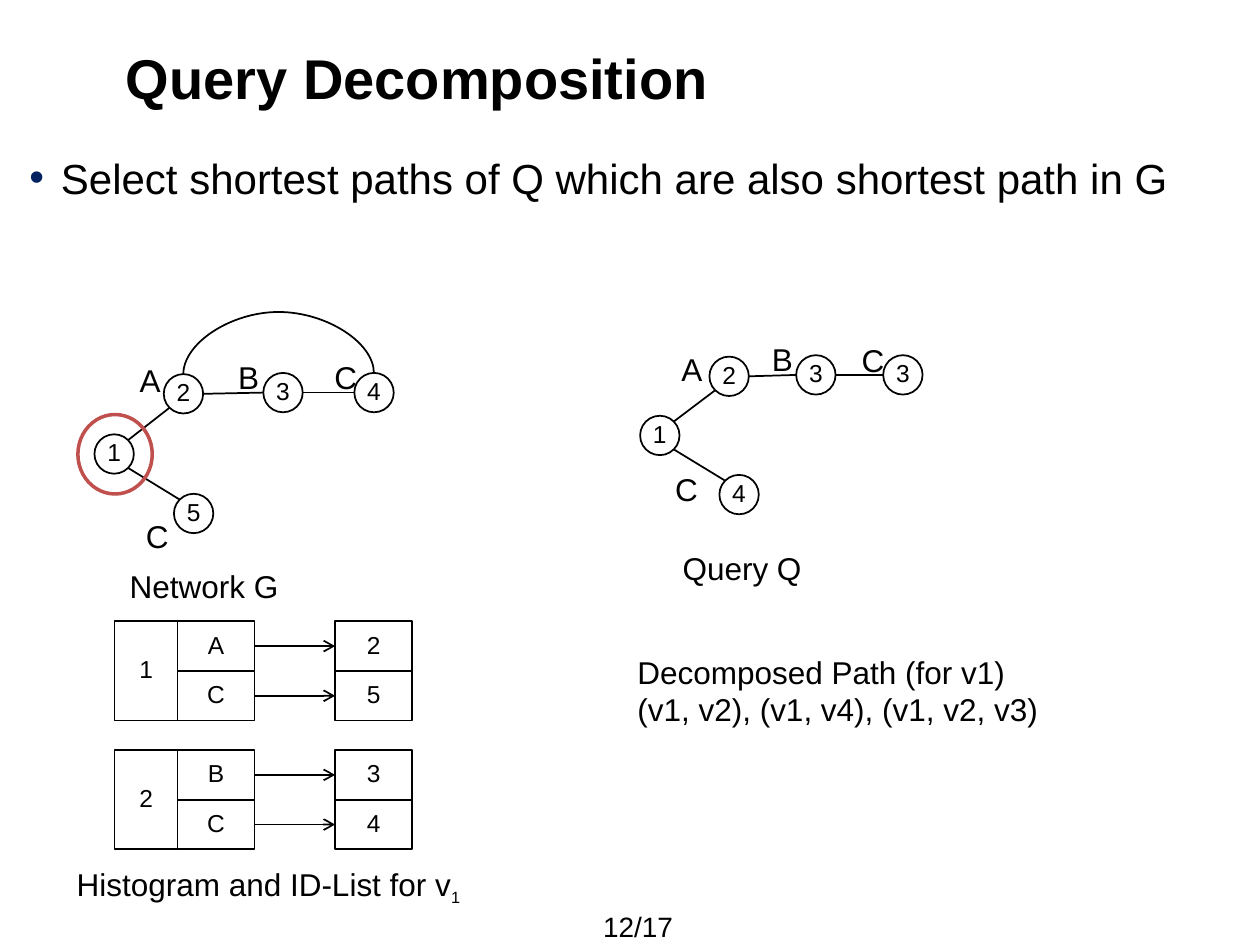
import dataclasses
import math
import typing

import lxml.etree
import pptx
import pptx.dml.color
import pptx.enum.shapes
import pptx.enum.text
import pptx.oxml
import pptx.oxml.ns
import pptx.util

Pt = pptx.util.Pt
SHAPE = pptx.enum.shapes.MSO_SHAPE
LINE = pptx.enum.shapes.MSO_CONNECTOR
ALIGN = pptx.enum.text.PP_ALIGN
ANCHOR = pptx.enum.text.MSO_ANCHOR
AUTO = pptx.enum.text.MSO_AUTO_SIZE
qn = pptx.oxml.ns.qn


@dataclasses.dataclass(frozen=True)
class Theme:
    font: str = "Arial"
    ink: str = "000000"
    bullet: str = "002060"
    ring: str = "C0504D"
    title: float = 32
    body: float = 24
    label: float = 18
    small: float = 16
    node: float = 14
    thin: float = 1
    thick: float = 2


class Node(typing.NamedTuple):
    text: str
    x: float
    y: float


class Edge(typing.NamedTuple):
    start: int
    end: int
    angle: float


class Label(typing.NamedTuple):
    text: str
    x: float
    y: float
    w: float


class Bucket(typing.NamedTuple):
    key: str
    y: float
    rows: tuple[tuple[str, str], ...]


THEME = Theme()
NODE_D = 22.5
ROW_H = 28.4
KEY_X, KEY_W = 65.5, 36
LABEL_X, ID_X, CELL_W = 101.5, 191.5, 44

NETWORK_NODES = (Node("1", 54, 248.2), Node("2", 93.6, 213.8), Node("3", 150.5, 213.1),
                 Node("4", 202.5, 213.1), Node("5", 99.4, 282.2))
QUERY_NODES = (Node("1", 365.8, 237.6), Node("2", 405.4, 203.8), Node("3", 455, 203),
               Node("3", 504.7, 203), Node("4", 411.1, 271.4))
EDGES = (Edge(0, 1, -45), Edge(1, 2, 0), Edge(2, 3, 0), Edge(0, 4, 45))
LABELS = (
    Label("A", 72.7, 202.5, 26.6), Label("B", 129, 201, 26.6),
    Label("C", 184, 201, 27.4), Label("C", 76.3, 291.6, 27.4),
    Label("A", 382.3, 196.6, 26.6), Label("B", 434, 191, 26.6),
    Label("C", 485.3, 191.5, 27.4), Label("C", 378.7, 265, 27.4),
    Label("Network G", 67, 320.4, 100), Label("Query Q", 383, 310.3, 83.5),
)
BUCKETS = (Bucket("1", 355, (("A", "2"), ("C", "5"))),
           Bucket("2", 428.6, (("B", "3"), ("C", "4"))))


def apply(obj: typing.Any, values: dict[str, typing.Any]) -> None:
    for name, value in values.items():
        setattr(obj, name, value)


def rgb(color: str) -> pptx.dml.color.RGBColor:
    return pptx.dml.color.RGBColor.from_string(color)


def add_run(p: typing.Any, text: str, size: float, bold: bool = False) -> typing.Any:
    r = p.add_run()
    r.text = text
    apply(r.font, {"name": THEME.font, "size": Pt(size), "bold": bold})
    r.font.color.rgb = rgb(THEME.ink)
    return r


def add_text(s: typing.Any, lines: tuple[str, ...], x: float, y: float, w: float, h: float,
             size: float, bold: bool = False, **frame: typing.Any) -> typing.Any:
    tf = s.shapes.add_textbox(Pt(x), Pt(y), Pt(w), Pt(h)).text_frame
    apply(tf, {"word_wrap": True} | frame)
    for i, line in enumerate(lines):
        p = tf.add_paragraph() if i else tf.paragraphs[0]
        add_run(p, line, size, bold)
    return tf


def add_outline(s: typing.Any, kind: typing.Any, x: float, y: float, w: float, h: float,
                text: str = "", color: str = THEME.ink, width: float = THEME.thin) -> typing.Any:
    sp = s.shapes.add_shape(kind, Pt(x), Pt(y), Pt(w), Pt(h))
    sp.shadow.inherit = False
    sp.fill.background()
    sp.line.color.rgb = rgb(color)
    sp.line.width = Pt(width)
    if text:
        tf = sp.text_frame
        apply(tf, {"word_wrap": False, "vertical_anchor": ANCHOR.MIDDLE})
        p = tf.paragraphs[0]
        apply(p, {"alignment": ALIGN.CENTER, "line_spacing": 0.9})
        add_run(p, text, THEME.node)
    return sp


def add_line(s: typing.Any, x1: float, y1: float, x2: float, y2: float,
             kind: typing.Any = LINE.STRAIGHT, arrow: bool = False) -> typing.Any:
    cx = s.shapes.add_connector(kind, Pt(x1), Pt(y1), Pt(x2), Pt(y2))
    cx.line.color.rgb = rgb(THEME.ink)
    cx.line.width = Pt(THEME.thin)
    if arrow:
        lxml.etree.SubElement(cx.line._get_or_add_ln(), qn("a:tailEnd"), type="arrow")
    lxml.etree.SubElement(cx._element.spPr, qn("a:effectLst"))
    return cx


def add_graph(s: typing.Any, nodes: tuple[Node, ...]) -> list[typing.Any]:
    circles = [add_outline(s, SHAPE.OVAL, n.x, n.y, NODE_D, NODE_D, n.text) for n in nodes]
    r = NODE_D / 2
    for e in EDGES:
        a, b = nodes[e.start], nodes[e.end]
        dx, dy = r * math.cos(math.radians(e.angle)), r * math.sin(math.radians(e.angle))
        add_line(s, a.x + r + dx, a.y + r + dy, b.x + r - dx, b.y + r - dy)
    return circles


def add_arc(s: typing.Any, start: typing.Any, end: typing.Any) -> None:
    cx = add_line(s, 213.7, 213.1, 104.8, 213.8, LINE.CURVE)
    cx.begin_connect(start, 0)
    cx.end_connect(end, 0)
    apply(cx, {"left": Pt(158.9), "top": Pt(159), "width": Pt(0.72), "height": Pt(108.9)})
    xfrm = cx._element.spPr.find(qn("a:xfrm"))
    for name, value in {"rot": "16200000", "flipH": "1", "flipV": "1"}.items():
        xfrm.set(name, value)
    guides = cx._element.spPr.find(qn("a:prstGeom")).get_or_add_avLst()
    lxml.etree.SubElement(guides, qn("a:gd"), name="adj1", fmla="val -4920000")


def add_bucket(s: typing.Any, b: Bucket) -> None:
    add_outline(s, SHAPE.RECTANGLE, KEY_X, b.y, KEY_W, ROW_H * len(b.rows), b.key)
    for i, (label, node_id) in enumerate(b.rows):
        y = b.y + i * ROW_H
        for x, text in ((LABEL_X, label), (ID_X, node_id)):
            add_outline(s, SHAPE.RECTANGLE, x, y, CELL_W, ROW_H, text)
        add_line(s, LABEL_X + CELL_W, y + ROW_H / 2, ID_X, y + ROW_H / 2, arrow=True)


def add_bullet(p: typing.Any) -> None:
    pPr = p._p.get_or_add_pPr()
    pPr.set("marL", str(Pt(18)))
    pPr.set("indent", str(-Pt(18)))
    color = lxml.etree.SubElement(pPr, qn("a:buClr"))
    lxml.etree.SubElement(color, qn("a:srgbClr"), val=THEME.bullet)
    lxml.etree.SubElement(pPr, qn("a:buFont"), typeface=THEME.font)
    lxml.etree.SubElement(pPr, qn("a:buChar"), char="•")


def main() -> None:
    prs = pptx.Presentation()
    apply(prs, {"slide_width": Pt(720), "slide_height": Pt(540)})
    s = prs.slides.add_slide(prs.slide_layouts[6])

    add_text(s, ("Query Decomposition",), 64.8, 21, 597, 46, THEME.title, True,
             vertical_anchor=ANCHOR.MIDDLE)
    tf = add_text(s, ("Select shortest paths of Q which are also shortest path in G",),
                  16.8, 87, 686, 393, THEME.body,
                  margin_left=0, margin_right=0, margin_top=0, margin_bottom=0)
    add_bullet(tf.paragraphs[0])

    add_graph(s, QUERY_NODES)
    circles = add_graph(s, NETWORK_NODES)
    add_arc(s, circles[3], circles[1])
    for b in BUCKETS:
        add_bucket(s, b)
    for n in LABELS:
        add_text(s, (n.text,), n.x, n.y, n.w, 29, THEME.label,
                 word_wrap=False, auto_size=AUTO.SHAPE_TO_FIT_TEXT)
    add_text(s, ("Decomposed Path (for v1)", "(v1, v2), (v1, v4), (v1, v2, v3)"),
             357.2, 369.4, 258, 51, THEME.label, auto_size=AUTO.SHAPE_TO_FIT_TEXT)
    add_outline(s, SHAPE.OVAL, 44.5, 236.9, 42.5, 45.4, color=THEME.ring, width=THEME.thick)

    tf = add_text(s, ("Histogram and ID-List for v",), 36.7, 491, 255, 29, THEME.label,
                  auto_size=AUTO.SHAPE_TO_FIT_TEXT)
    r = add_run(tf.paragraphs[0], "1", THEME.small)
    r.font._element.set("baseline", "-25000")
    add_text(s, ("12/17",), 337.5, 519, 62, 21, THEME.small, vertical_anchor=ANCHOR.MIDDLE)
    prs.save("out.pptx")


if __name__ == "__main__":
    main()
